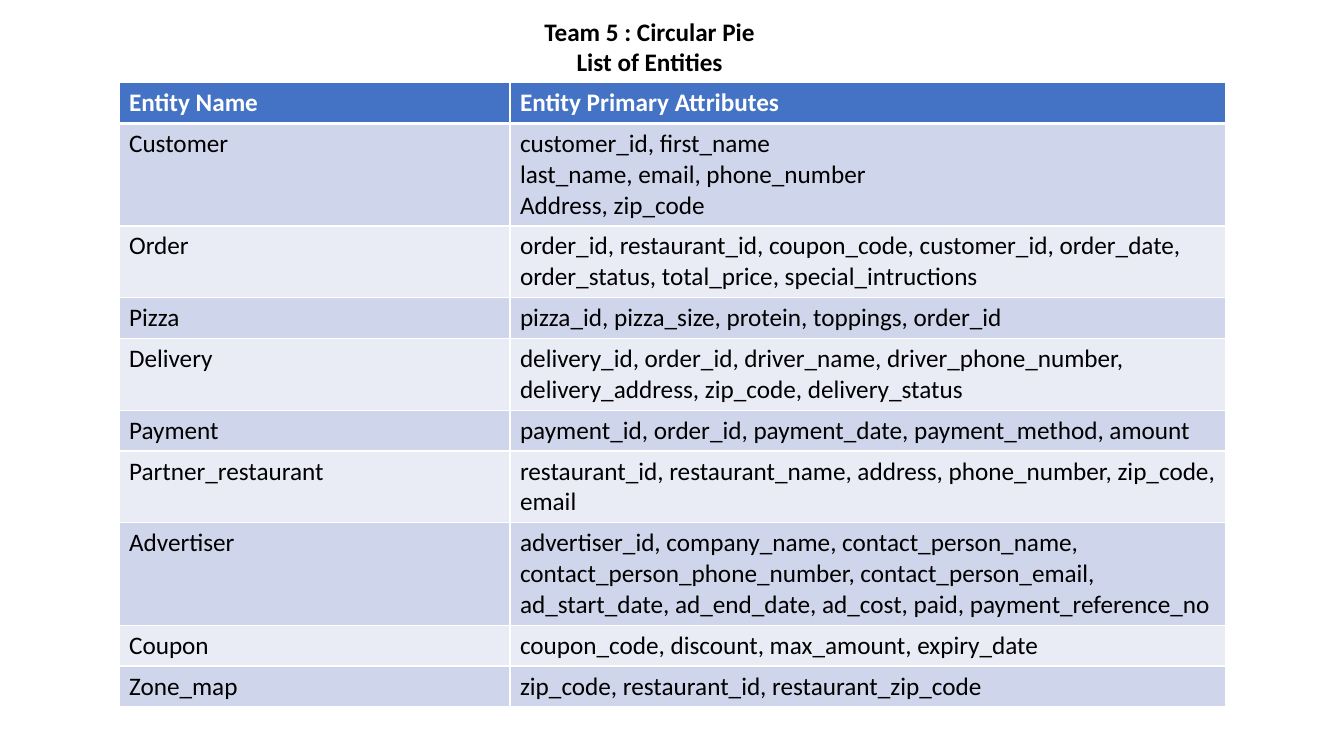
import lxml.etree
import pptx
import pptx.dml.color
import pptx.enum.text
import pptx.oxml.ns
import pptx.util

Pt = pptx.util.Pt
FONT = "Calibri"
FONT_SIZE = 18
COLORS = {
    "text": "000000",
    "header": "4472C4",
    "header_text": "FFFFFF",
    "odd_row": "CFD5EA",
    "even_row": "E9EBF5",
    "border": "FFFFFF",
}
ROW_HEIGHT = 29.2
EXTRA_LINE_HEIGHT = 22
COLUMN_WIDTHS = (279.25, 511.25)

HEADINGS = ("Entity Name", "Entity Primary Attributes")
# Entity, attributes, number of lines the attributes take up
ENTITIES = [
    ("Customer", "customer_id, first_name\nlast_name, email, phone_number\nAddress, zip_code", 3),
    ("Order", "order_id, restaurant_id, coupon_code, customer_id, order_date, "
              "order_status, total_price, special_intructions", 2),
    ("Pizza", "pizza_id, pizza_size, protein, toppings, order_id", 1),
    ("Delivery", "delivery_id, order_id, driver_name, driver_phone_number, "
                 "delivery_address, zip_code, delivery_status", 2),
    ("Payment", "payment_id, order_id, payment_date, payment_method, amount", 1),
    ("Partner_restaurant", "restaurant_id, restaurant_name, address, phone_number, "
                           "zip_code, email", 2),
    ("Advertiser", "advertiser_id, company_name, contact_person_name, "
                   "contact_person_phone_number, contact_person_email, "
                   "ad_start_date, ad_end_date, ad_cost, paid, payment_reference_no", 3),
    ("Coupon", "coupon_code, discount, max_amount, expiry_date", 1),
    ("Zone_map", "zip_code, restaurant_id, restaurant_zip_code", 1),
]


def rgb(name):
    return pptx.dml.color.RGBColor.from_string(COLORS[name])


def write_text(text_frame, text, color, bold=False, alignment=None):
    text_frame.text = text
    for paragraph in text_frame.paragraphs:
        paragraph.alignment = alignment
        for run in paragraph.runs:
            run.font.name = FONT
            run.font.size = Pt(FONT_SIZE)
            run.font.bold = bold
            run.font.color.rgb = rgb(color)


def set_borders(cell, top, bottom):
    """Draw the four cell borders; the sides are always 1 pt wide."""
    properties = cell._tc.get_or_add_tcPr()
    widths = {"a:lnL": 1, "a:lnR": 1, "a:lnT": top, "a:lnB": bottom}
    for position, (tag, width) in enumerate(widths.items()):
        line = lxml.etree.Element(pptx.oxml.ns.qn(tag), w=str(Pt(width)))
        fill = lxml.etree.SubElement(line, pptx.oxml.ns.qn("a:solidFill"))
        lxml.etree.SubElement(fill, pptx.oxml.ns.qn("a:srgbClr"), val=COLORS["border"])
        properties.insert(position, line)


def add_title(slide, text):
    title = slide.shapes.add_textbox(Pt(350), Pt(8), Pt(228), Pt(51))
    title.text_frame.word_wrap = True
    write_text(title.text_frame, text, "text", bold=True,
               alignment=pptx.enum.text.PP_ALIGN.CENTER)


def add_entity_table(slide):
    rows = [(*HEADINGS, 1), *ENTITIES]
    heights = [ROW_HEIGHT + EXTRA_LINE_HEIGHT * (lines - 1) for *_, lines in rows]
    table = slide.shapes.add_table(
        len(rows), len(COLUMN_WIDTHS), Pt(85), Pt(59),
        Pt(sum(COLUMN_WIDTHS)), Pt(sum(heights))).table
    for column, width in zip(table.columns, COLUMN_WIDTHS):
        column.width = Pt(width)
    for index, (*texts, _) in enumerate(rows):
        table.rows[index].height = Pt(heights[index])
        is_header = index == 0
        fill = "header" if is_header else "odd_row" if index % 2 else "even_row"
        for cell, text in zip(table.rows[index].cells, texts):
            write_text(cell.text_frame, text,
                       "header_text" if is_header else "text", bold=is_header)
            cell.fill.solid()
            cell.fill.fore_color.rgb = rgb(fill)
            set_borders(cell, top=3 if index == 1 else 1, bottom=3 if is_header else 1)


def main():
    presentation = pptx.Presentation()
    presentation.slide_width = Pt(960)
    presentation.slide_height = Pt(540)
    slide = presentation.slides.add_slide(presentation.slide_layouts[6])
    add_title(slide, "Team 5 : Circular Pie\nList of Entities")
    add_entity_table(slide)
    presentation.save("out.pptx")


if __name__ == "__main__":
    main()
